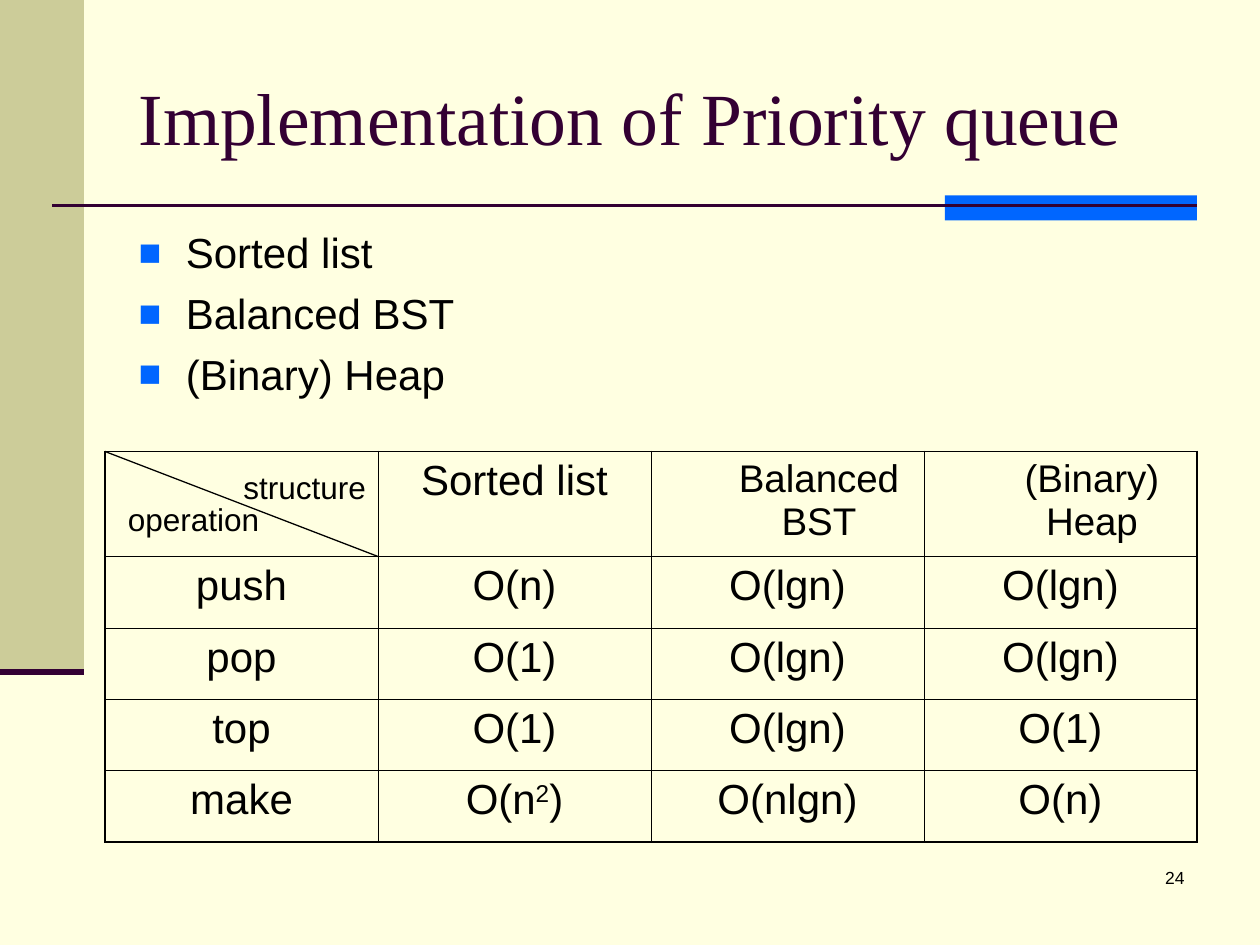
from dataclasses import dataclass

from lxml import etree
from pptx import Presentation
from pptx.dml.color import RGBColor
from pptx.enum.shapes import MSO_CONNECTOR, MSO_SHAPE
from pptx.enum.text import MSO_ANCHOR, MSO_AUTO_SIZE, PP_ALIGN
from pptx.oxml.ns import qn
from pptx.util import Pt

LEFT, CENTER, RIGHT = PP_ALIGN.LEFT, PP_ALIGN.CENTER, PP_ALIGN.RIGHT
MIDDLE, TOP = MSO_ANCHOR.MIDDLE, MSO_ANCHOR.TOP
RECTANGLE, STRAIGHT = MSO_SHAPE.RECTANGLE, MSO_CONNECTOR.STRAIGHT
NO_FIT = MSO_AUTO_SIZE.NONE

COLORS = {"paper": "FFFFE1", "olive": "CCCC99", "blue": "0066FF",
          "plum": "330033", "ink": "000000"}
OUTER, INNER = 1.08, 0.45


@dataclass
class Bar:
    x: float
    y: float
    w: float
    h: float
    color: str


@dataclass
class Rule:
    x1: float
    y1: float
    x2: float
    y2: float
    color: str
    width: float


@dataclass
class Label:
    text: str
    x: float
    y: float
    w: float
    h: float
    size: float
    align: PP_ALIGN = LEFT
    before: float = 0


TABLE_X, TABLE_Y, COL_W, HEAD_H, ROW_H = 60, 258, 156, 60, 40.8

BARS = [Bar(0, 0, 48, 384, "olive"), Bar(540, 111.6, 144, 14.4, "blue")]
RULES = [
    Rule(30, 117.6, 684, 117.6, "plum", 1.5),
    Rule(0, 384, 48, 384, "plum", 3.5),
]
DIAGONAL = Rule(TABLE_X, TABLE_Y, TABLE_X + COL_W, TABLE_Y + HEAD_H, "ink", 0.75)
LABELS = [
    Label("24", 534, 492, 150, 36, 10, align=RIGHT),
    Label("structure", 132, 264, 90, 29, 18, before=11.2),
    Label("operation", 66, 282, 90, 29, 18, before=11.2),
]
STRUCTURES = ["Sorted list", "Balanced BST", "(Binary) Heap"]
ROWS = [
    ["", *STRUCTURES],
    ["push", "O(n)", "O(lgn)", "O(lgn)"],
    ["pop", "O(1)", "O(lgn)", "O(lgn)"],
    ["top", "O(1)", "O(lgn)", "O(1)"],
    ["make", "O(n^2^)", "O(nlgn)", "O(n)"],
]


def rgb(name: str) -> RGBColor:
    return RGBColor.from_string(COLORS[name])


def write(p, text: str, *, size: float, font: str = "Arial", color: str = "ink",
          align: PP_ALIGN = LEFT, before: float = 0) -> None:
    p.alignment = align
    p.space_before = Pt(before)
    for i, part in enumerate(text.split("^")):
        r = p.add_run()
        r.text = part
        r.font.size = Pt(size)
        r.font.name = font
        r.font.color.rgb = rgb(color)
        if i % 2:
            r.font._element.set("baseline", "30000")


def place(s, x: float, y: float, w: float, h: float) -> None:
    s.left, s.top, s.width, s.height = Pt(x), Pt(y), Pt(w), Pt(h)


def add_bullet(p) -> None:
    pPr = p._p.get_or_add_pPr()
    pPr.set("marL", str(Pt(27)))
    pPr.set("indent", str(Pt(-27)))
    clr = etree.SubElement(pPr, qn("a:buClr"))
    etree.SubElement(clr, qn("a:srgbClr"), val=COLORS["blue"])
    etree.SubElement(pPr, qn("a:buSzPct"), val="90000")
    etree.SubElement(pPr, qn("a:buFont"), typeface="Arial")
    etree.SubElement(pPr, qn("a:buChar"), char="■")


def draw_bar(slide, bar: Bar) -> None:
    s = slide.shapes.add_shape(RECTANGLE, Pt(bar.x), Pt(bar.y), Pt(bar.w), Pt(bar.h))
    s.shadow.inherit = False
    s.fill.solid()
    s.fill.fore_color.rgb = rgb(bar.color)
    s.line.fill.background()


def draw_rule(slide, rule: Rule) -> None:
    s = slide.shapes.add_connector(STRAIGHT, Pt(rule.x1), Pt(rule.y1),
                                   Pt(rule.x2), Pt(rule.y2))
    s.line.color.rgb = rgb(rule.color)
    s.line.width = Pt(rule.width)
    etree.SubElement(s._element.spPr, qn("a:effectLst"))


def draw_label(slide, label: Label) -> None:
    s = slide.shapes.add_textbox(Pt(label.x), Pt(label.y), Pt(label.w), Pt(label.h))
    s.text_frame.word_wrap = True
    write(s.text_frame.paragraphs[0], label.text, size=label.size,
          align=label.align, before=label.before)


def set_borders(cell, widths: dict[str, float]) -> None:
    tcPr = cell._tc.get_or_add_tcPr()
    for i, (side, width) in enumerate(widths.items()):
        ln = etree.Element(qn(f"a:{side}"), w=str(Pt(width)))
        fill = etree.SubElement(ln, qn("a:solidFill"))
        etree.SubElement(fill, qn("a:srgbClr"), val=COLORS["ink"])
        tcPr.insert(i, ln)


def draw_table(slide, rows: list[list[str]]) -> None:
    n_rows, n_cols = len(rows), len(rows[0])
    height = HEAD_H + ROW_H * (n_rows - 1)
    table = slide.shapes.add_table(n_rows, n_cols, Pt(TABLE_X), Pt(TABLE_Y),
                                   Pt(COL_W * n_cols), Pt(height)).table
    table.first_row = table.horz_banding = False
    for col in table.columns:
        col.width = Pt(COL_W)
    for i, row in enumerate(rows):
        table.rows[i].height = Pt(ROW_H if i else HEAD_H)
        for j, text in enumerate(row):
            cell = table.cell(i, j)
            cell.fill.background()
            set_borders(cell, {
                "lnL": INNER if j else OUTER,
                "lnR": OUTER if j == n_cols - 1 else INNER,
                "lnT": INNER if i else OUTER,
                "lnB": OUTER if i == n_rows - 1 else INNER,
            })
            if not text:
                continue
            p = cell.text_frame.paragraphs[0]
            indented = i == 0 and j > 1
            write(p, text, size=22 if indented else 24, align=CENTER,
                  before=5.5 if indented else 6)
            if indented:
                p.level = 1
                p._p.get_or_add_pPr().set("marL", str(Pt(36)))


def main() -> None:
    prs = Presentation()
    prs.slide_width, prs.slide_height = Pt(720), Pt(540)
    slide = prs.slides.add_slide(prs.slide_layouts[1])
    slide.background.fill.solid()
    slide.background.fill.fore_color.rgb = rgb("paper")

    for bar in BARS:
        draw_bar(slide, bar)
    for rule in RULES:
        draw_rule(slide, rule)

    title = slide.shapes.title
    place(title, 72, 21.6, 612, 90)
    title.text_frame.auto_size = NO_FIT
    title.text_frame.vertical_anchor = MIDDLE
    write(title.text_frame.paragraphs[0], "Implementation of Priority queue",
          size=42, font="Times New Roman", color="plum")

    body = slide.placeholders[1]
    place(body, 72, 126, 474, 138)
    tf = body.text_frame
    tf.auto_size = NO_FIT
    tf.vertical_anchor = TOP
    for i, text in enumerate(STRUCTURES):
        p = tf.add_paragraph() if i else tf.paragraphs[0]
        write(p, text, size=24, before=6)
        add_bullet(p)

    draw_table(slide, ROWS)
    draw_rule(slide, DIAGONAL)
    for label in LABELS:
        draw_label(slide, label)
    prs.save("out.pptx")


if __name__ == "__main__":
    main()
